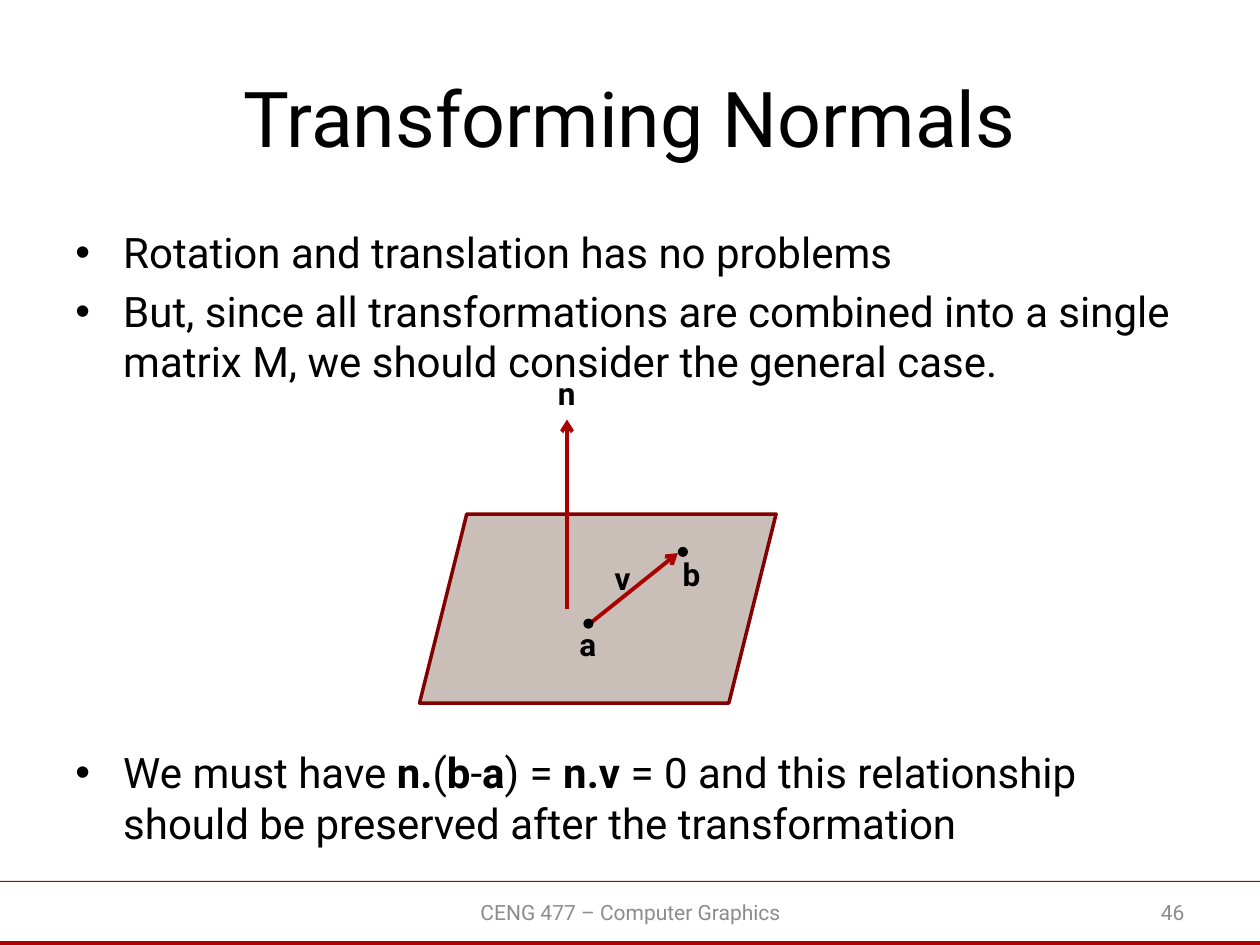
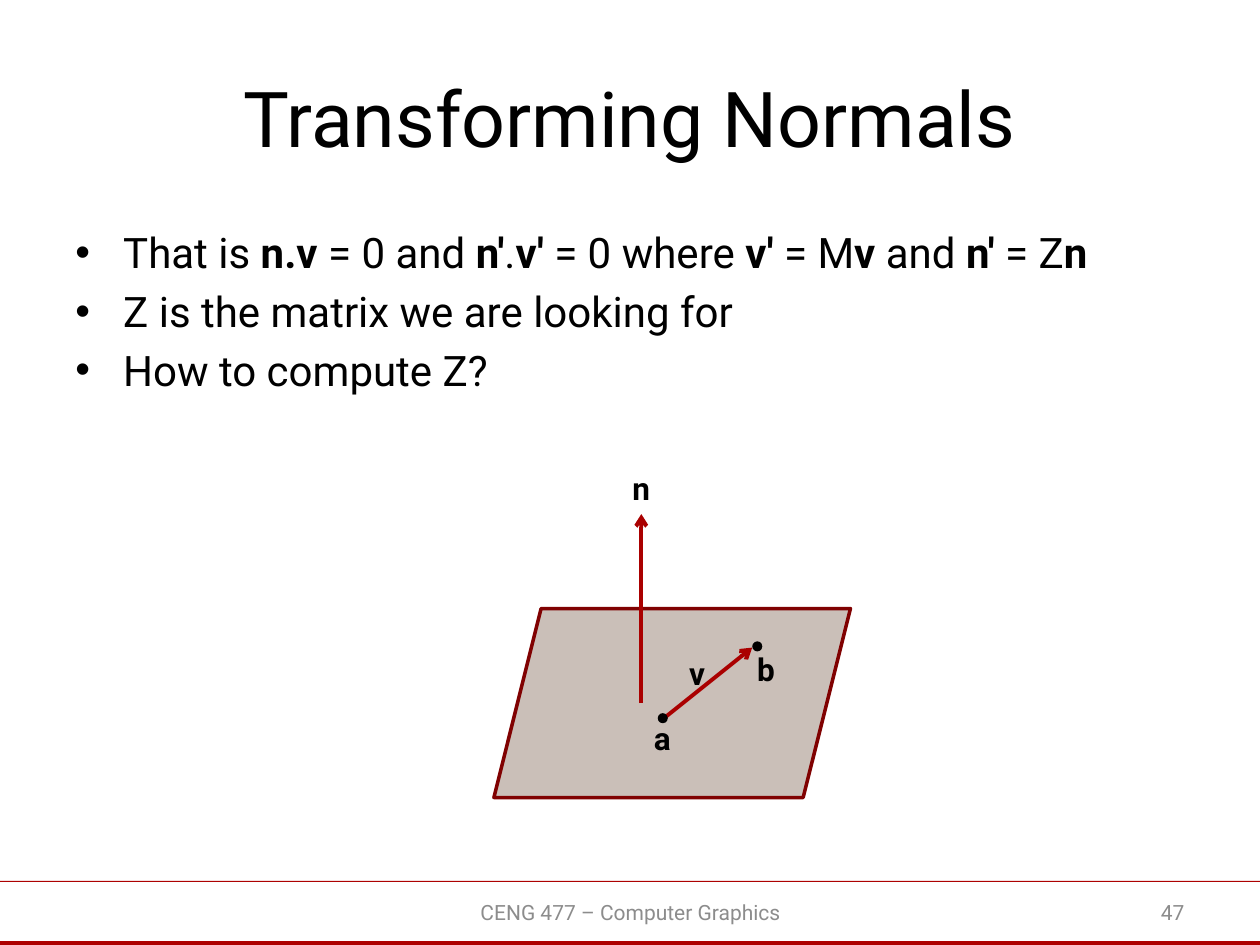
"""Build two slides on transforming surface normals."""
from lxml import etree
from pptx import Presentation
from pptx.dml.color import RGBColor
from pptx.enum import shapes, text
from pptx.oxml import ns
from pptx.util import Inches, Pt

HUES = {"band": "AD0101", "ink": "000000", "foot": "8C8C8C",
        "plane": "CABFB8", "edge": "800101", "arrow": "AA0000"}
FONT = "Roboto"
FORM = shapes.MSO_SHAPE
ALIGN = text.PP_ALIGN
MID = text.MSO_ANCHOR.MIDDLE
BANDS = [(6.99, 0.01), (7.47, 0.03)]
PLANE = (2.83, 1.5)
ARROWS = [(1.17, 0.75, 1.17, -0.75), (1.35, 0.87, 2.05, 0.31)]
DOTS = [(2.05, 0.26), (1.3, 0.83)]
LABELS = [("n", 1.0, -1.16), ("a", 1.17, 0.83), ("b", 1.99, 0.28), ("v", 1.45, 0.31)]
SLIDES = [
    (46, (3.33, 4.08), [
        ("Rotation and translation has no problems", 4.8),
        ("But, since all transformations are combined into a single matrix M, "
         "we should consider the general case.", 4.8),
        ("We must have *n.*(*b*-*a*) = *n.v* = 0 and this relationship "
         "should be preserved after the transformation", 206)]),
    (47, (3.92, 4.83), [
        ("That is *n.v* = 0 and *n'*.*v'* = 0 where *v'* = M*v* and *n'* = Z*n*", 4.8),
        ("Z is the matrix we are looking for", 4.8),
        ("How to compute Z?", 4.8)]),
]


def write(para, words, size, hue="ink", bold=False, align=ALIGN.LEFT):
    """Fill a paragraph, with bold text between asterisks."""
    para.alignment = align
    for i, part in enumerate(words.split("*")):
        if part:
            run = para.add_run()
            run.text = part
            run.font.name = FONT
            run.font.size = Pt(size)
            run.font.bold = bold or i % 2 == 1
            run.font.color.rgb = RGBColor.from_string(HUES[hue])


def draw(slide, form, x, y, w, h, fill, edge=None):
    """Add a flat preset shape with an optional outline."""
    item = slide.shapes.add_shape(form, Inches(x), Inches(y), Inches(w), Inches(h))
    item.shadow.inherit = False
    item.fill.solid()
    item.fill.fore_color.rgb = RGBColor.from_string(HUES[fill])
    if edge:
        item.line.color.rgb = RGBColor.from_string(HUES[edge])
        item.line.width = Pt(2)
    else:
        item.line.fill.background()


deck = Presentation()
deck.slide_width, deck.slide_height = Inches(10), Inches(7.5)

for page, (left, top), points in SLIDES:
    slide = deck.slides.add_slide(deck.slide_layouts[5])
    for y, high in BANDS:
        draw(slide, FORM.RECTANGLE, 0, y, 10, high, "band")

    title = slide.shapes.title
    title.left, title.top = Inches(0.5), Inches(0.3)
    title.width, title.height = Inches(9), Inches(1.25)
    title.text_frame.vertical_anchor = MID
    write(title.text_frame.paragraphs[0], "Transforming Normals", 44, align=ALIGN.CENTER)

    body = slide.shapes.add_textbox(Inches(0.5), Inches(1.75), Inches(9), Inches(4.95))
    frame = body.text_frame
    frame.word_wrap = True
    for i, (words, gap) in enumerate(points):
        para = frame.add_paragraph() if i else frame.paragraphs[0]
        write(para, words, 24)
        para.space_before = Pt(gap)
        props = para._p.get_or_add_pPr()
        props.set("marL", str(Inches(0.38)))
        props.set("indent", str(Inches(-0.38)))
        face = etree.SubElement(props, ns.qn("a:buFont"))
        face.set("typeface", "Arial")
        mark = etree.SubElement(props, ns.qn("a:buChar"))
        mark.set("char", "•")

    draw(slide, FORM.PARALLELOGRAM, left, top, *PLANE, "plane", "edge")
    for x1, y1, x2, y2 in ARROWS:
        arrow = slide.shapes.add_connector(
            shapes.MSO_CONNECTOR.STRAIGHT, Inches(left + x1), Inches(top + y1),
            Inches(left + x2), Inches(top + y2))
        arrow.line.color.rgb = RGBColor.from_string(HUES["arrow"])
        arrow.line.width = Pt(2.25)
        tip = etree.SubElement(arrow.line._get_or_add_ln(), ns.qn("a:tailEnd"))
        tip.set("type", "arrow")
        etree.SubElement(arrow._element.spPr, ns.qn("a:effectLst"))
    for x, y in DOTS:
        draw(slide, FORM.OVAL, left + x, top + y, 0.08, 0.08, "ink")
    for name, x, y in LABELS:
        label = slide.shapes.add_textbox(
            Inches(left + x), Inches(top + y), Inches(0.35), Inches(0.4))
        label.text_frame.word_wrap = False
        write(label.text_frame.paragraphs[0], name, 18, bold=True)

    for words, x, wide, align in [
            ("CENG 477 – Computer Graphics", 3.42, 3.17, ALIGN.CENTER),
            (str(page), 7.17, 2.33, ALIGN.RIGHT)]:
        foot = slide.shapes.add_textbox(Inches(x), Inches(7.04), Inches(wide), Inches(0.4))
        foot.text_frame.word_wrap = True
        foot.text_frame.vertical_anchor = MID
        write(foot.text_frame.paragraphs[0], words, 12, "foot", align=align)

deck.save("out.pptx")
